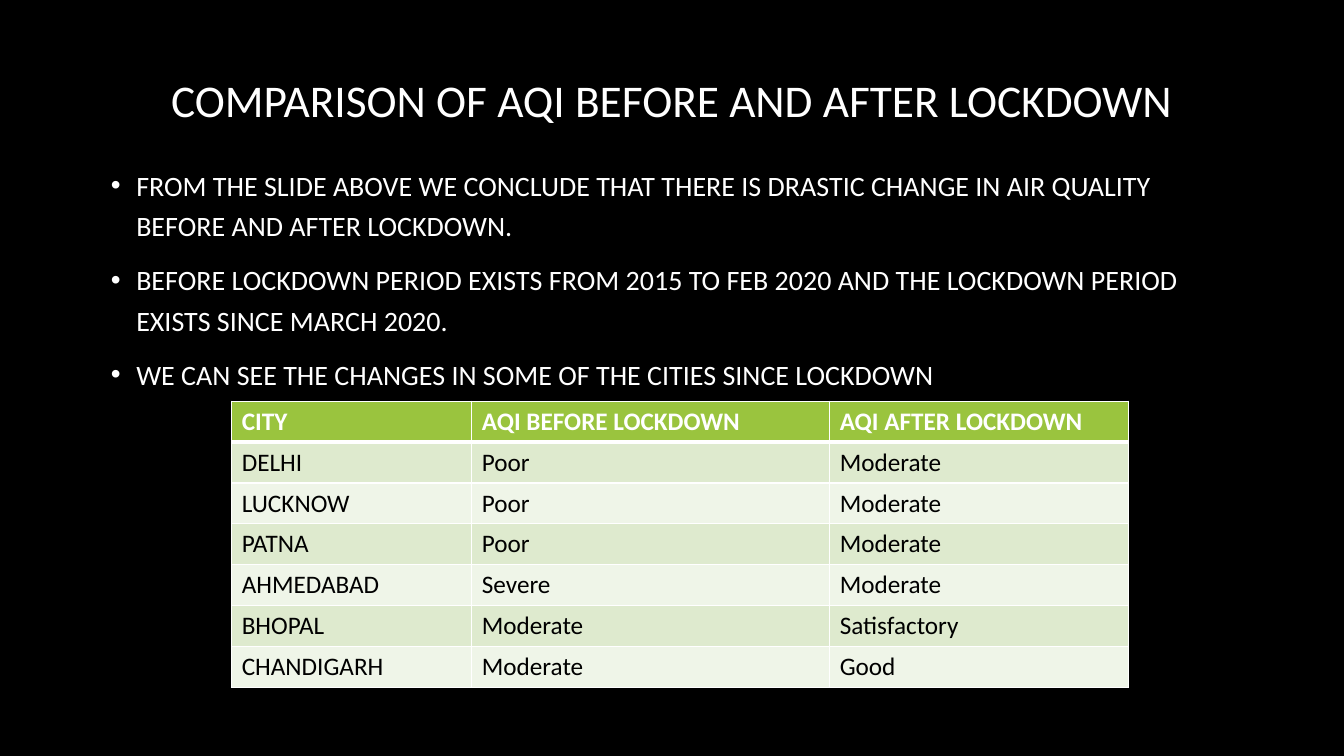
from lxml.etree import SubElement
from pptx import Presentation
from pptx.dml.color import RGBColor
from pptx.enum.text import MSO_ANCHOR, MSO_AUTO_SIZE, PP_ALIGN
from pptx.oxml import parse_xml
from pptx.oxml.ns import nsdecls, qn
from pptx.util import Cm, Pt

TITLE = "COMPARISON OF AQI BEFORE AND AFTER LOCKDOWN"
POINTS = [
    "FROM THE SLIDE ABOVE WE CONCLUDE THAT THERE IS DRASTIC CHANGE IN AIR QUALITY BEFORE AND AFTER LOCKDOWN.",
    "BEFORE LOCKDOWN PERIOD EXISTS FROM 2015 TO FEB 2020 AND THE LOCKDOWN PERIOD EXISTS SINCE MARCH 2020.",
    "WE CAN SEE THE CHANGES IN SOME OF THE CITIES SINCE LOCKDOWN",
]
AQI_ROWS = [
    ("CITY", "AQI BEFORE LOCKDOWN", "AQI AFTER LOCKDOWN"),
    ("DELHI", "Poor", "Moderate"),
    ("LUCKNOW", "Poor", "Moderate"),
    ("PATNA", "Poor", "Moderate"),
    ("AHMEDABAD", "Severe", "Moderate"),
    ("BHOPAL", "Moderate", "Satisfactory"),
    ("CHANDIGARH", "Moderate", "Good"),
]
COL_WIDTHS = [Cm(6.05), Cm(9.02), Cm(7.52)]
ROW_HEIGHT = Cm(1.03)

FONT = "Calibri"
BLACK = RGBColor(0x00, 0x00, 0x00)
WHITE = RGBColor(0xFF, 0xFF, 0xFF)
GREEN = RGBColor(0x9A, 0xC4, 0x3E)
BANDS = [RGBColor(0xEF, 0xF5, 0xE8), RGBColor(0xDE, 0xEA, 0xCE)]


def place(sp, left, top, width, height):
    """Move and size a shape, with lengths in centimetres."""
    sp.left, sp.top, sp.width, sp.height = map(Cm, (left, top, width, height))


def style_runs(p, size, color, bold=False):
    """Format every run of a paragraph."""
    for r in p.runs:
        r.font.name, r.font.size, r.font.bold = FONT, Pt(size), bold
        r.font.color.rgb = color


def add_bullet(p):
    """Give a paragraph a hanging white bullet."""
    pPr = p._p.get_or_add_pPr()
    pPr.set("marL", str(Cm(0.64)))
    pPr.set("indent", str(-Cm(0.64)))
    color = SubElement(pPr, qn("a:buClr"))
    SubElement(color, qn("a:srgbClr"), val=str(WHITE))
    SubElement(pPr, qn("a:buFont"), typeface="Arial")
    SubElement(pPr, qn("a:buChar"), char="•")


def add_borders(cell, top, bottom):
    """Draw white borders around a cell, with widths in points."""
    tcPr = cell._tc.get_or_add_tcPr()
    for i, (side, width) in enumerate(zip("LRTB", (1, 1, top, bottom))):
        tcPr.insert(i, parse_xml(
            f'<a:ln{side} {nsdecls("a")} w="{Pt(width)}"><a:solidFill>'
            f'<a:srgbClr val="{WHITE}"/></a:solidFill></a:ln{side}>'))


def add_aqi_table(s):
    """Add the table of cities."""
    table = s.shapes.add_table(
        len(AQI_ROWS), len(COL_WIDTHS), Cm(5.84), Cm(10.11),
        sum(COL_WIDTHS), ROW_HEIGHT * len(AQI_ROWS)).table
    for column, width in zip(table.columns, COL_WIDTHS):
        column.width = width
    for i, values in enumerate(AQI_ROWS):
        table.rows[i].height = ROW_HEIGHT
        header = i == 0
        for j, value in enumerate(values):
            cell = table.cell(i, j)
            cell.text = value
            cell.fill.solid()
            cell.fill.fore_color.rgb = GREEN if header else BANDS[i % 2]
            style_runs(cell.text_frame.paragraphs[0], 18,
                       WHITE if header else BLACK, header)
            add_borders(cell, 3 if i == 1 else 1, 3 if header else 1)


def main():
    """Build the slide and save it."""
    prs = Presentation()
    prs.slide_width, prs.slide_height = Cm(33.87), Cm(19.05)
    s = prs.slides.add_slide(prs.slide_layouts[1])
    s.background.fill.solid()
    s.background.fill.fore_color.rgb = BLACK

    title, body = s.placeholders
    place(title, 2.54, 1.73, 28.78, 1.73)
    tf = title.text_frame
    tf.text = TITLE
    tf.auto_size = MSO_AUTO_SIZE.NONE
    tf.vertical_anchor = MSO_ANCHOR.MIDDLE
    p = tf.paragraphs[0]
    p.alignment, p.line_spacing = PP_ALIGN.CENTER, 0.9
    style_runs(p, 32.4, WHITE)

    place(body, 2.54, 3.94, 28.78, 14.35)
    tf = body.text_frame
    tf.text = "\n".join(POINTS)
    tf.auto_size = MSO_AUTO_SIZE.NONE
    for p in tf.paragraphs:
        p.line_spacing, p.space_before = 1.2, Pt(10)
        add_bullet(p)
        style_runs(p, 20, WHITE)

    add_aqi_table(s)
    prs.save("out.pptx")


if __name__ == "__main__":
    main()
